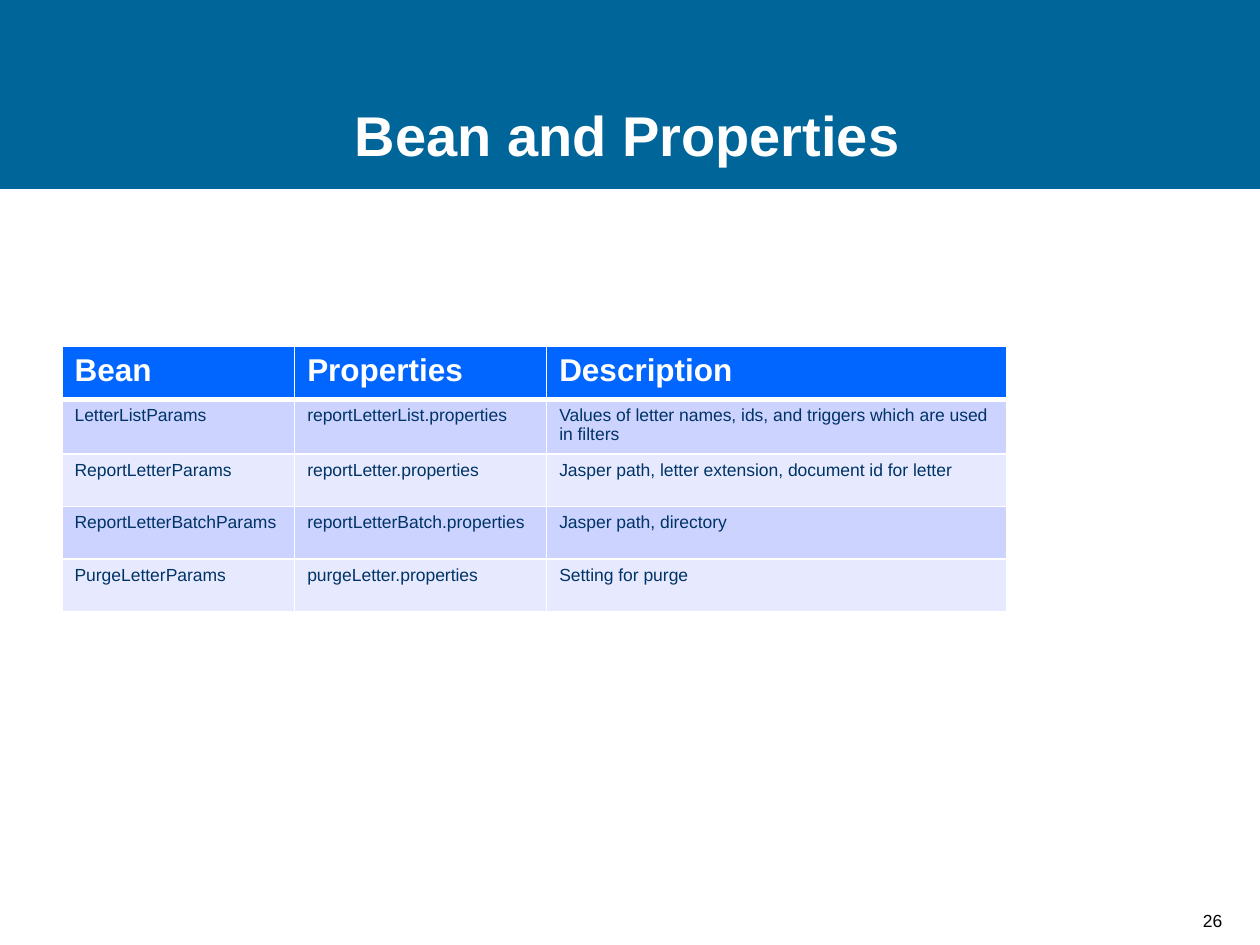
from lxml.etree import SubElement
from pptx import Presentation
from pptx.dml.color import RGBColor
from pptx.enum.shapes import MSO_SHAPE as Shape
from pptx.enum.text import MSO_ANCHOR as Anchor, MSO_AUTO_SIZE as AutoSize, PP_ALIGN as Align
from pptx.oxml.ns import qn
from pptx.util import Cm, Pt

TITLE = "Bean and Properties"
PAGE_NUMBER = "26"
ROWS = [
    ("Bean", "Properties", "Description"),
    ("LetterListParams", "reportLetterList.properties",
     "Values of letter names, ids, and triggers which are used in filters"),
    ("ReportLetterParams", "reportLetter.properties",
     "Jasper path, letter extension, document id for letter"),
    ("ReportLetterBatchParams", "reportLetterBatch.properties", "Jasper path, directory"),
    ("PurgeLetterParams", "purgeLetter.properties", "Setting for purge"),
]
COLUMN_WIDTHS = (4.69, 5.08, 9.27)
ROW_HEIGHT = 1.06

WHITE = RGBColor(0xFF, 0xFF, 0xFF)
BLACK = RGBColor(0, 0, 0)
TEAL = RGBColor(0x00, 0x66, 0x99)
BLUE = RGBColor(0x00, 0x66, 0xFF)
NAVY = RGBColor(0x00, 0x33, 0x66)
BANDS = (RGBColor(0xE7, 0xEA, 0xFF), RGBColor(0xCC, 0xD3, 0xFF))

TITLE_FONT = {"size": Pt(32), "bold": True}
NUMBER_FONT = {"size": Pt(10), "bold": False}
HEADER_FONT = {"size": Pt(18), "bold": True}
BODY_FONT = {"size": Pt(10), "bold": False}


def write(frame, text, font, color, align=Align.LEFT):
    para = frame.paragraphs[0]
    para.alignment = align
    span = para.add_run()
    span.text = text
    for name, value in {"name": "Arial", **font}.items():
        setattr(span.font, name, value)
    span.font.color.rgb = color
    return para


def paint(target, color):
    target.fill.solid()
    target.fill.fore_color.rgb = color


def set_borders(cell, widths):
    """Add white borders, given in points for each side, ahead of the cell fill."""
    properties = cell._tc.get_or_add_tcPr()
    for index, side in enumerate("LRTB"):
        line = SubElement(properties, qn(f"a:ln{side}"), w=str(Pt(widths[side])))
        fill = SubElement(line, qn("a:solidFill"))
        SubElement(fill, qn("a:srgbClr"), val=str(WHITE))
        properties.insert(index, line)


def add_heading(page):
    title = page.shapes.title
    band = page.shapes.add_shape(Shape.RECTANGLE, 0, 0, Cm(25.4), Cm(3.81))
    band.shadow.inherit = False
    band.line.fill.background()
    paint(band, TEAL)
    title._element.addprevious(band._element)

    title.left, title.top, title.width, title.height = Cm(4.65), Cm(1.27), Cm(16), Cm(2.24)
    paint(title, TEAL)
    frame = title.text_frame
    frame.auto_size = AutoSize.NONE
    frame.vertical_anchor = Anchor.BOTTOM
    write(frame, TITLE, TITLE_FONT, WHITE, Align.CENTER)


def add_page_number(page):
    box = page.shapes.add_textbox(Cm(20.19), Cm(18.14), Cm(4.7), Cm(0.76))
    frame = box.text_frame
    frame.word_wrap = True
    frame.vertical_anchor = Anchor.BOTTOM
    write(frame, PAGE_NUMBER, NUMBER_FONT, BLACK, Align.RIGHT).line_spacing = 0.8


def add_bean_table(page):
    table = page.shapes.add_table(
        len(ROWS), len(COLUMN_WIDTHS), Cm(1.25), Cm(6.99),
        Cm(sum(COLUMN_WIDTHS)), Cm(ROW_HEIGHT * len(ROWS))).table
    for column, width in zip(table.columns, COLUMN_WIDTHS):
        column.width = Cm(width)
    for r, texts in enumerate(ROWS):
        table.rows[r].height = Cm(ROW_HEIGHT)
        header = r == 0
        for c, text in enumerate(texts):
            cell = table.cell(r, c)
            paint(cell, BLUE if header else BANDS[r % 2])
            set_borders(cell, {"L": 1, "R": 1, "T": 3 if r == 1 else 1, "B": 3 if header else 1})
            write(cell.text_frame, text, HEADER_FONT if header else BODY_FONT,
                  WHITE if header else NAVY)


def main():
    deck = Presentation()
    deck.slide_width, deck.slide_height = Cm(25.4), Cm(19.05)
    page = deck.slides.add_slide(deck.slide_layouts[5])
    add_heading(page)
    add_page_number(page)
    add_bean_table(page)
    deck.save("out.pptx")


if __name__ == "__main__":
    main()
